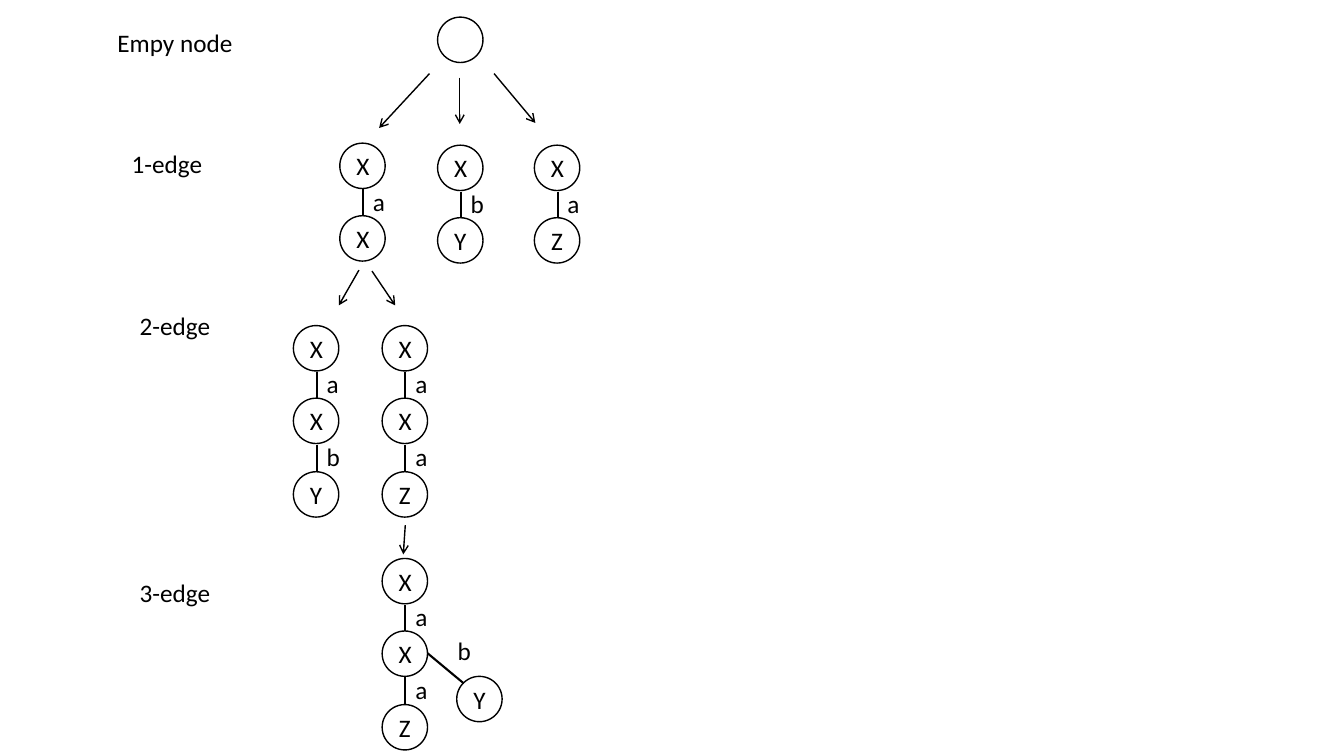
from lxml.etree import SubElement
from pptx import Presentation
from pptx.dml.color import RGBColor
from pptx.enum.shapes import MSO_CONNECTOR, MSO_SHAPE
from pptx.enum.text import MSO_ANCHOR, MSO_AUTO_SIZE, PP_ALIGN
from pptx.oxml.ns import qn
from pptx.util import Inches, Pt

COLORS = {"ink": "000000", "paper": "FFFFFF"}
DIAMETER = 0.45
RADIUS = 0.23
NODE_OFFSETS = [0, 0.72, 1.45]

# Row labels: text, left, top
LEVELS = [
    ("Empy node", 0.87, 0.22),
    ("1-edge", 0.79, 1.42),
    ("2-edge", 0.87, 3.03),
    ("3-edge", 0.87, 5.68),
]

# Vertical chains: left, top, node names, edge names
CHAINS = [
    (3.37, 1.42, "XX", "a"),
    (4.34, 1.44, "XY", "b"),
    (5.3, 1.44, "XZ", "a"),
    (2.91, 3.23, "XXY", "ab"),
    (3.79, 3.23, "XXZ", "aa"),
    (3.79, 5.54, "XXZ", "aa"),
]

# Expansion arrows: start and end points
ARROWS = [
    (4.26, 0.73, 3.76, 1.27),
    (4.56, 0.77, 4.56, 1.23),
    (4.9, 0.73, 5.31, 1.22),
    (3.56, 2.68, 3.36, 3.03),
    (3.69, 2.69, 3.92, 3.03),
    (4.02, 5.21, 4, 5.5),
]


def rgb(name):
    return RGBColor.from_string(COLORS[name])


def write(tf, text, size=18, font="Calibri", color="ink", align=PP_ALIGN.LEFT):
    p = tf.paragraphs[0]
    p.alignment = align
    r = p.add_run()
    r.text = text
    r.font.size = Pt(size)
    r.font.name = font
    r.font.color.rgb = rgb(color)


def add_label(s, text, x, y, width=0.42, **fmt):
    sp = s.shapes.add_textbox(Inches(x), Inches(y), Inches(width), Inches(0.4))
    tf = sp.text_frame
    tf.word_wrap = True
    tf.auto_size = MSO_AUTO_SIZE.SHAPE_TO_FIT_TEXT
    write(tf, text, **fmt)


def add_node(s, x, y, name=""):
    sp = s.shapes.add_shape(MSO_SHAPE.OVAL, Inches(x), Inches(y),
                            Inches(DIAMETER), Inches(DIAMETER))
    sp.shadow.inherit = False
    sp.fill.solid()
    sp.fill.fore_color.rgb = rgb("paper")
    sp.line.color.rgb = rgb("ink")
    sp.line.width = Pt(1)
    if name:
        sp.text_frame.vertical_anchor = MSO_ANCHOR.MIDDLE
        write(sp.text_frame, name, align=PP_ALIGN.CENTER)


def add_line(s, x1, y1, x2, y2, width=1.5, arrow=False):
    c = s.shapes.add_connector(MSO_CONNECTOR.STRAIGHT, Inches(x1), Inches(y1),
                               Inches(x2), Inches(y2))
    c.line.color.rgb = rgb("ink")
    c.line.width = Pt(width)
    if arrow:
        SubElement(c.line._get_or_add_ln(), qn("a:tailEnd"), type="arrow")
    SubElement(c._element.spPr, qn("a:effectLst"))


def add_chain(s, x, y, nodes, edges):
    tops = [y + offset for offset in NODE_OFFSETS]
    for top, name in zip(tops, nodes):
        add_node(s, x, top, name)
    for top, below, name in zip(tops, tops[1:], edges):
        add_line(s, x + RADIUS, top + 2 * RADIUS, x + RADIUS, below)
        add_label(s, name, x + RADIUS, top + 0.38)


def main():
    prs = Presentation()
    prs.slide_width, prs.slide_height = Inches(13.33), Inches(7.5)
    s = prs.slides.add_slide(prs.slide_layouts[6])

    # Level names and root
    for text, x, y in LEVELS:
        add_label(s, text, x, y, width=1.73, align=PP_ALIGN.CENTER)
    add_node(s, 4.34, 0.17)

    # Subgraphs at each level
    for chain in CHAINS:
        add_chain(s, *chain)

    # Side branch of the 3-edge graph
    add_node(s, 4.53, 6.71, "Y")
    add_label(s, "b", 4.44, 6.25)
    add_line(s, 4.24, 6.48, 4.6, 6.78)

    # Expansion arrows
    for points in ARROWS:
        add_line(s, *points, width=1, arrow=True)

    prs.save("out.pptx")


if __name__ == "__main__":
    main()
